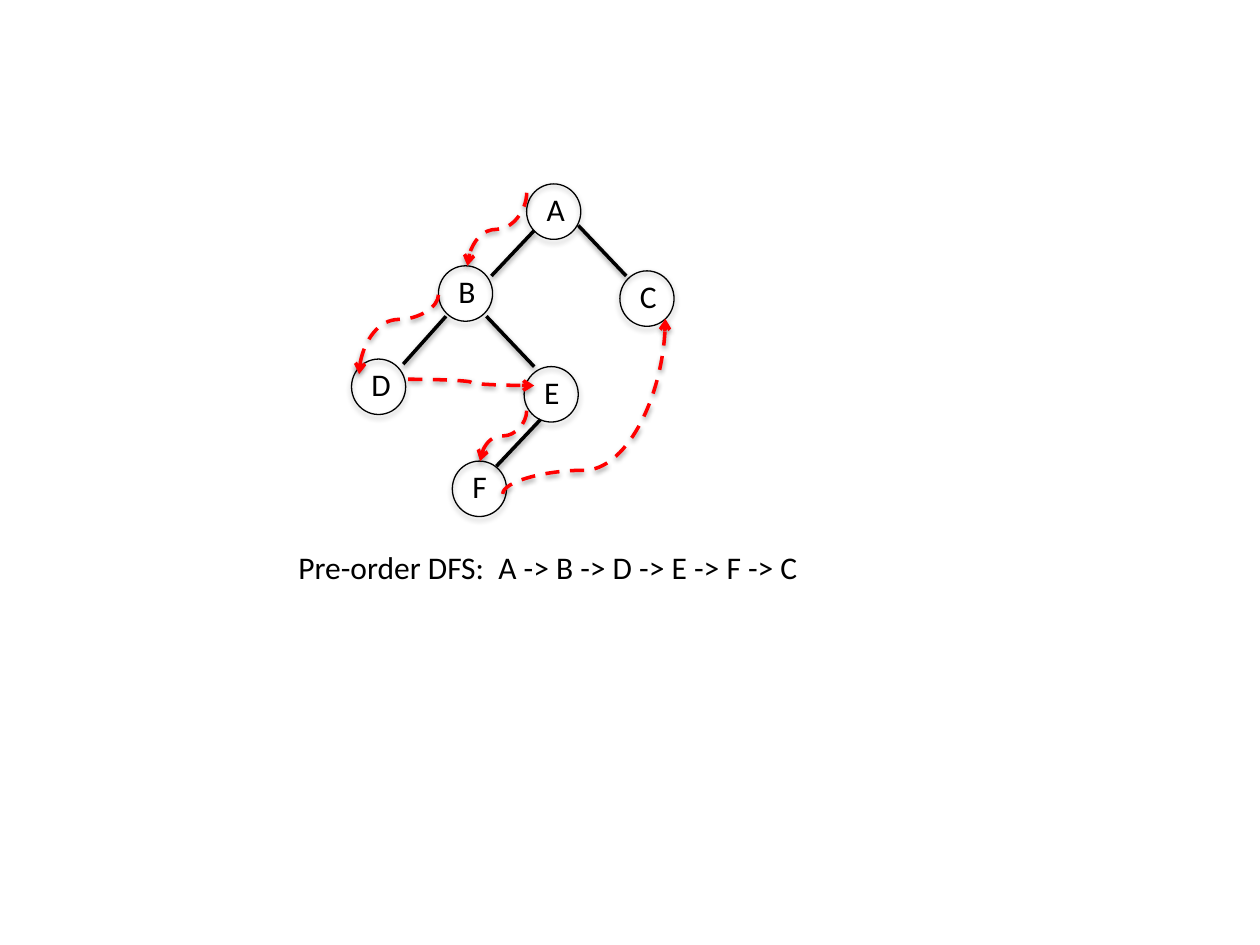
"""Draw a binary tree with its pre-order depth-first traversal."""
import pptx
import pptx.util
import pptx.dml.color
import pptx.enum.dml
import pptx.enum.shapes
import pptx.oxml
import pptx.oxml.ns
from pptx.util import Inches

BLACK = pptx.dml.color.RGBColor(0, 0, 0)
RED = pptx.dml.color.RGBColor(255, 0, 0)
FONT = "Calibri"
NODE_WIDTH, NODE_HEIGHT = 0.43, 0.44

NODES = {
    "A": (4.18, 1.46),
    "B": (3.48, 2.11),
    "D": (2.79, 2.85),
    "E": (4.16, 2.91),
    "C": (4.92, 2.15),
    "F": (3.59, 3.66),
}
EDGES = [
    ((4.24, 1.83), (3.9, 2.19)),
    ((3.54, 2.51), (3.2, 2.89)),
    ((4.29, 3.33), (3.94, 3.7)),
    ((4.24, 2.91), (3.86, 2.51)),
    ((4.97, 2.19), (4.59, 1.79)),
]
VISITS = [
    ((4.18, 1.53), (3.71, 2.11), 0.5),
    ((3.48, 2.34), (2.85, 2.97), 0.31),
    ((4.18, 3.26), (3.81, 3.66), 0.5),
    ((3.99, 3.92), (5.28, 2.53), 0.135),
]


def add_xml(parent, tag, content="", **attributes):
    """Append one DrawingML element to a parent."""
    listed = "".join(f' {name}="{value}"' for name, value in attributes.items())
    namespace = pptx.oxml.ns.nsdecls("a")
    parent.append(pptx.oxml.parse_xml(f"<a:{tag} {namespace}{listed}>{content}</a:{tag}>"))


def add_shadow(shape, distance, opacity):
    """Give a shape a soft shadow straight below it."""
    properties = shape._element.spPr
    add_xml(
        properties,
        "effectLst",
        f'<a:outerShdw blurRad="{pptx.util.Pt(3.1)}" dist="{pptx.util.Pt(distance)}" '
        'dir="5400000" rotWithShape="0"><a:srgbClr val="000000">'
        f'<a:alpha val="{opacity * 1000}"/></a:srgbClr></a:outerShdw>',
    )


def add_text(shapes, text, left, top, width, height=0.4, size=18, color=BLACK, wrap=True):
    """Add a one-line text box."""
    box = shapes.add_textbox(Inches(left), Inches(top), Inches(width), Inches(height))
    box.text_frame.word_wrap = wrap
    span = box.text_frame.paragraphs[0].add_run()
    span.text = text
    span.font.name = FONT
    span.font.size = pptx.util.Pt(size)
    span.font.color.rgb = color


def add_node(page, letter, left, top):
    """Add a circle grouped with its letter."""
    group = page.shapes.add_group_shape()
    circle = group.shapes.add_shape(
        pptx.enum.shapes.MSO_SHAPE.OVAL,
        Inches(left), Inches(top), Inches(NODE_WIDTH), Inches(NODE_HEIGHT),
    )
    circle.fill.background()
    circle.line.color.rgb = BLACK
    circle.line.width = pptx.util.Pt(0.75)
    add_shadow(circle, 1.8, 35)
    width = 0.35 if letter == "A" else 0.33
    add_text(group.shapes, letter, left + 0.06, top, width, wrap=False)


def add_line(page, start, end, kind=pptx.enum.shapes.MSO_CONNECTOR.STRAIGHT, color=BLACK, arrow=False):
    """Add a shadowed connector, dashed when it is an arrow."""
    line = page.shapes.add_connector(kind, *(Inches(value) for value in (*start, *end)))
    line.line.color.rgb = color
    line.line.width = pptx.util.Pt(2)
    if arrow:
        line.line.dash_style = pptx.enum.dml.MSO_LINE.DASH
        add_xml(line.line._get_or_add_ln(), "tailEnd", type="arrow")
    add_shadow(line, 1.6, 38)
    return line


def add_visit(page, start, end):
    """Add a curved arrow that leaves sideways."""
    return add_line(page, start, end, pptx.enum.shapes.MSO_CONNECTOR.CURVE, RED, arrow=True)


def add_upright_visit(page, start, end, bend):
    """Add a curved arrow that leaves vertically, by a quarter turn."""
    middle_x, middle_y = (start[0] + end[0]) / 2, (start[1] + end[1]) / 2
    half_width, half_height = (end[1] - start[1]) / 2, (start[0] - end[0]) / 2
    curve = add_visit(
        page,
        (middle_x - half_width, middle_y - half_height),
        (middle_x + half_width, middle_y + half_height),
    )
    properties = curve._element.spPr
    properties.find(pptx.oxml.ns.qn("a:xfrm")).set("rot", "5400000")
    geometry = properties.find(pptx.oxml.ns.qn("a:prstGeom"))
    adjustments = geometry.find(pptx.oxml.ns.qn("a:avLst"))
    add_xml(adjustments, "gd", name="adj1", fmla=f"val {round(bend * 100000)}")


def main():
    """Build and save the slide."""
    deck = pptx.Presentation()
    deck.slide_width, deck.slide_height = Inches(10), Inches(7.5)
    page = deck.slides.add_slide(deck.slide_layouts[6])
    for letter, (left, top) in NODES.items():
        add_node(page, letter, left, top)
    for start, end in EDGES:
        add_line(page, start, end)
    add_visit(page, (3.24, 3.01), (4.24, 3.06))
    for start, end, bend in VISITS:
        add_upright_visit(page, start, end, bend)
    add_text(page.shapes, "Pre-order DFS:  A -> B -> D -> E -> F -> C", 2.27, 4.3, 5.43)
    deck.save("out.pptx")


main()
